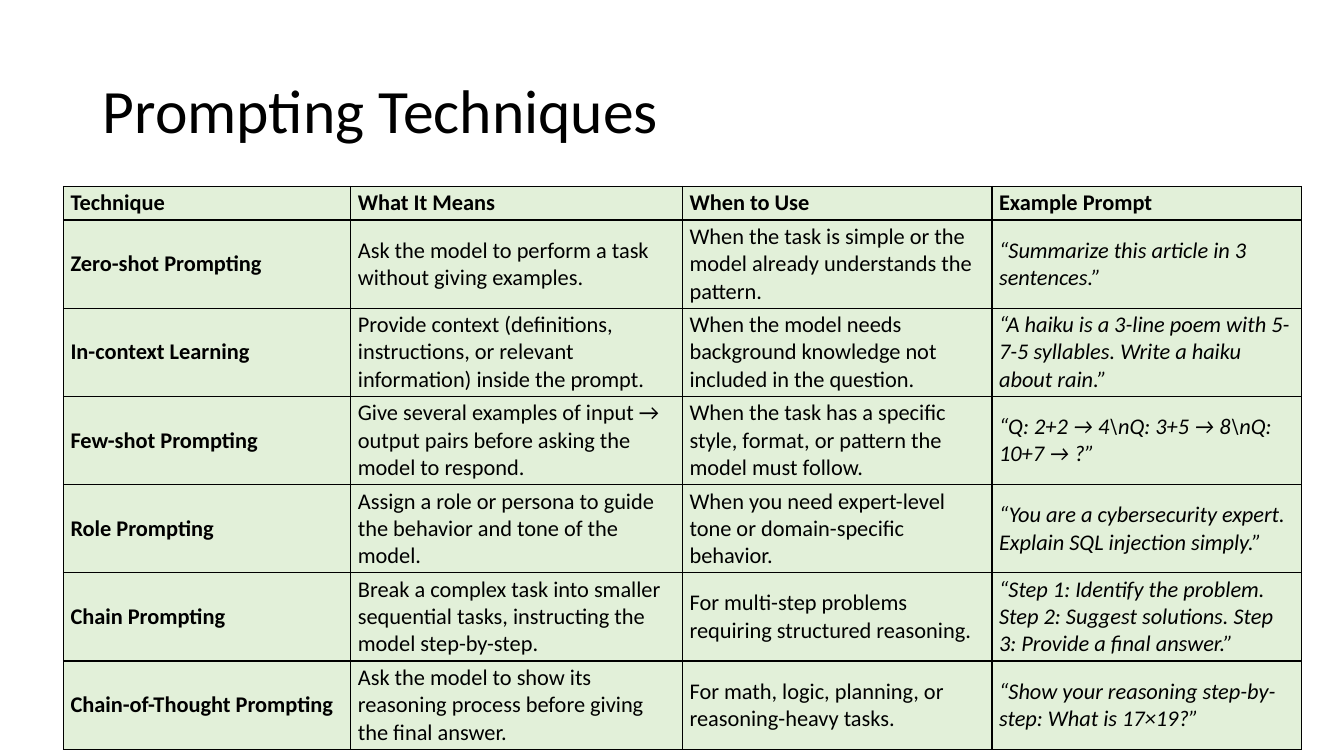
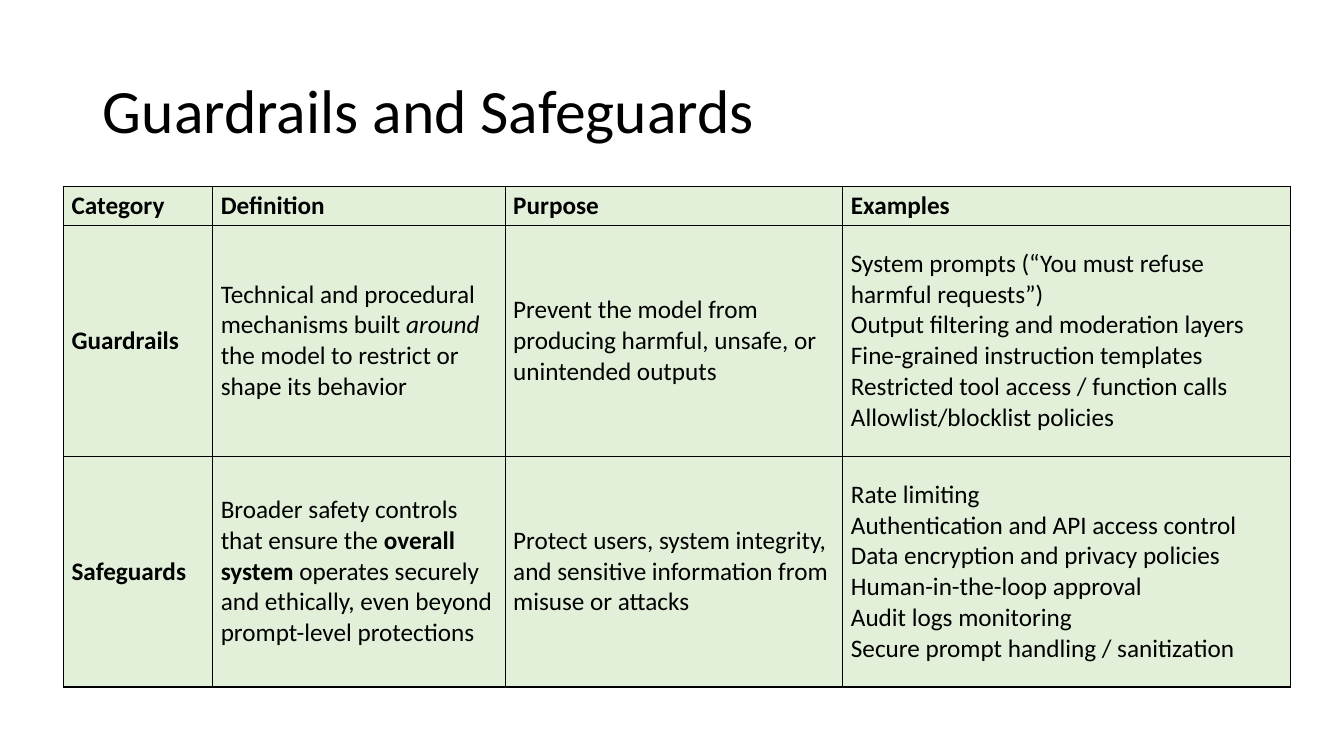
from dataclasses import dataclass

from lxml import etree
from pptx import Presentation
from pptx import util as u
from pptx.dml.color import RGBColor
from pptx.enum import text as t
from pptx.oxml import ns


@dataclass(frozen=True)
class Theme:
    font: str = "Calibri"
    ink: str = "000000"
    fill: str = "E2F0D9"
    title: int = 44
    line: float = 1


@dataclass(frozen=True)
class Grid:
    """A table slide; in cells, *stars* mark bold and _bars_ mark italic."""
    title: str
    size: int
    pad: tuple[float, float]
    cols: list[float]
    rows: list[float]
    cells: list[list[str]]
    slant: bool = False


THEME = Theme()
LEFT, TOP = 0.63, 1.85

PROMPTS = Grid(
    "Prompting Techniques", 16, (0.07, 0.03),
    [2.85, 3.29, 3.07, 3.07],
    [0.26, 0.65, 0.85, 0.85, 0.65, 0.85, 0.65],
    [
        ["Technique", "What It Means", "When to Use", "Example Prompt"],
        ["Zero-shot Prompting",
         "Ask the model to perform a task without giving examples.",
         "When the task is simple or the model already understands the pattern.",
         "“Summarize this article in 3 sentences.”"],
        ["In-context Learning",
         "Provide context (definitions, instructions, or relevant information) inside the prompt.",
         "When the model needs background knowledge not included in the question.",
         "“A haiku is a 3-line poem with 5-7-5 syllables. Write a haiku about rain.”"],
        ["Few-shot Prompting",
         "Give several examples of input → output pairs before asking the model to respond.",
         "When the task has a specific style, format, or pattern the model must follow.",
         "“Q: 2+2 → 4\\nQ: 3+5 → 8\\nQ: 10+7 → ?”"],
        ["Role Prompting",
         "Assign a role or persona to guide the behavior and tone of the model.",
         "When you need expert-level tone or domain-specific behavior.",
         "“You are a cybersecurity expert. Explain SQL injection simply.”"],
        ["Chain Prompting",
         "Break a complex task into smaller sequential tasks, instructing the model step-by-step.",
         "For multi-step problems requiring structured reasoning.",
         "“Step 1: Identify the problem. Step 2: Suggest solutions. Step 3: Provide a final answer.”"],
        ["Chain-of-Thought Prompting",
         "Ask the model to show its reasoning process before giving the final answer.",
         "For math, logic, planning, or reasoning-heavy tasks.",
         "“Show your reasoning step-by-step: What is 17×19?”"],
    ],
    slant=True,
)

SAFETY = Grid(
    "Guardrails and Safeguards", 18, (0.08, 0.04),
    [1.48, 2.9, 3.35, 4.44],
    [0.33, 2.29, 2.29],
    [
        ["Category", "Definition", "Purpose", "Examples"],
        ["Guardrails",
         "Technical and procedural mechanisms built _around_ the model to restrict or shape its behavior",
         "Prevent the model from producing harmful, unsafe, or unintended outputs",
         "System prompts (“You must refuse harmful requests”)\n"
         "Output filtering and moderation layers\n"
         "Fine-grained instruction templates\n"
         "Restricted tool access / function calls\n"
         "Allowlist/blocklist policies"],
        ["Safeguards",
         "Broader safety controls that ensure the *overall system* operates securely"
         " and ethically, even beyond prompt-level protections",
         "Protect users, system integrity, and sensitive information from misuse or attacks",
         "Rate limiting\n"
         "Authentication and API access control\n"
         "Data encryption and privacy policies\n"
         "Human-in-the-loop approval\n"
         "Audit logs monitoring\n"
         "Secure prompt handling / sanitization"],
    ],
)


def write(frame, words: str, *, size: int, bold: bool = False,
          slant: bool = False, space: float = 1) -> None:
    """Fill a text frame, one paragraph a line, with bold and italic marks."""
    for i, line in enumerate(words.split("\n")):
        para = frame.add_paragraph() if i else frame.paragraphs[0]
        para.alignment = t.PP_ALIGN.LEFT
        para.line_spacing = space
        for j, part in enumerate(line.split("*")):
            for k, bit in enumerate(part.split("_")):
                if not bit:
                    continue
                run = para.add_run()
                run.text = bit
                font = run.font
                font.name, font.size = THEME.font, u.Pt(size)
                font.bold = bold or j % 2 == 1
                font.italic = slant or k % 2 == 1
                font.color.rgb = RGBColor.from_string(THEME.ink)


def edge(cell) -> None:
    """Draw a line on all four sides of a cell."""
    props = cell._tc.get_or_add_tcPr()
    for side in "LRTB":
        line = etree.SubElement(props, ns.qn(f"a:ln{side}"), w=str(u.Pt(THEME.line)))
        fill = etree.SubElement(line, ns.qn("a:solidFill"))
        etree.SubElement(fill, ns.qn("a:srgbClr"), val=THEME.ink)


def add_title(slide, words: str) -> None:
    title = slide.shapes.title
    title.left, title.top = u.Inches(0.92), u.Inches(0.4)
    title.width, title.height = u.Inches(11.5), u.Inches(1.45)
    frame = title.text_frame
    frame.auto_size = t.MSO_AUTO_SIZE.NONE
    frame.vertical_anchor = t.MSO_ANCHOR.MIDDLE
    write(frame, words, size=THEME.title, space=0.9)


def add_grid(slide, grid: Grid) -> None:
    table = slide.shapes.add_table(
        len(grid.rows), len(grid.cols), u.Inches(LEFT), u.Inches(TOP),
        u.Inches(sum(grid.cols)), u.Inches(sum(grid.rows))).table
    table.first_row = table.horz_banding = False
    for col, width in zip(table.columns, grid.cols):
        col.width = u.Inches(width)
    for row, height in zip(table.rows, grid.rows):
        row.height = u.Inches(height)
    last = len(grid.cols) - 1
    for r, row in enumerate(grid.cells):
        for c, words in enumerate(row):
            cell = table.cell(r, c)
            edge(cell)
            cell.fill.solid()
            cell.fill.fore_color.rgb = RGBColor.from_string(THEME.fill)
            cell.vertical_anchor = t.MSO_ANCHOR.MIDDLE
            cell.margin_left = cell.margin_right = u.Inches(grid.pad[0])
            cell.margin_top = cell.margin_bottom = u.Inches(grid.pad[1])
            write(cell.text_frame, words, size=grid.size,
                  bold=r == 0 or c == 0,
                  slant=grid.slant and r > 0 and c == last)


def main() -> None:
    deck = Presentation()
    deck.slide_width, deck.slide_height = u.Inches(13.33), u.Inches(7.5)
    for grid in (PROMPTS, SAFETY):
        slide = deck.slides.add_slide(deck.slide_layouts[5])
        add_title(slide, grid.title)
        add_grid(slide, grid)
    deck.save("out.pptx")


if __name__ == "__main__":
    main()
